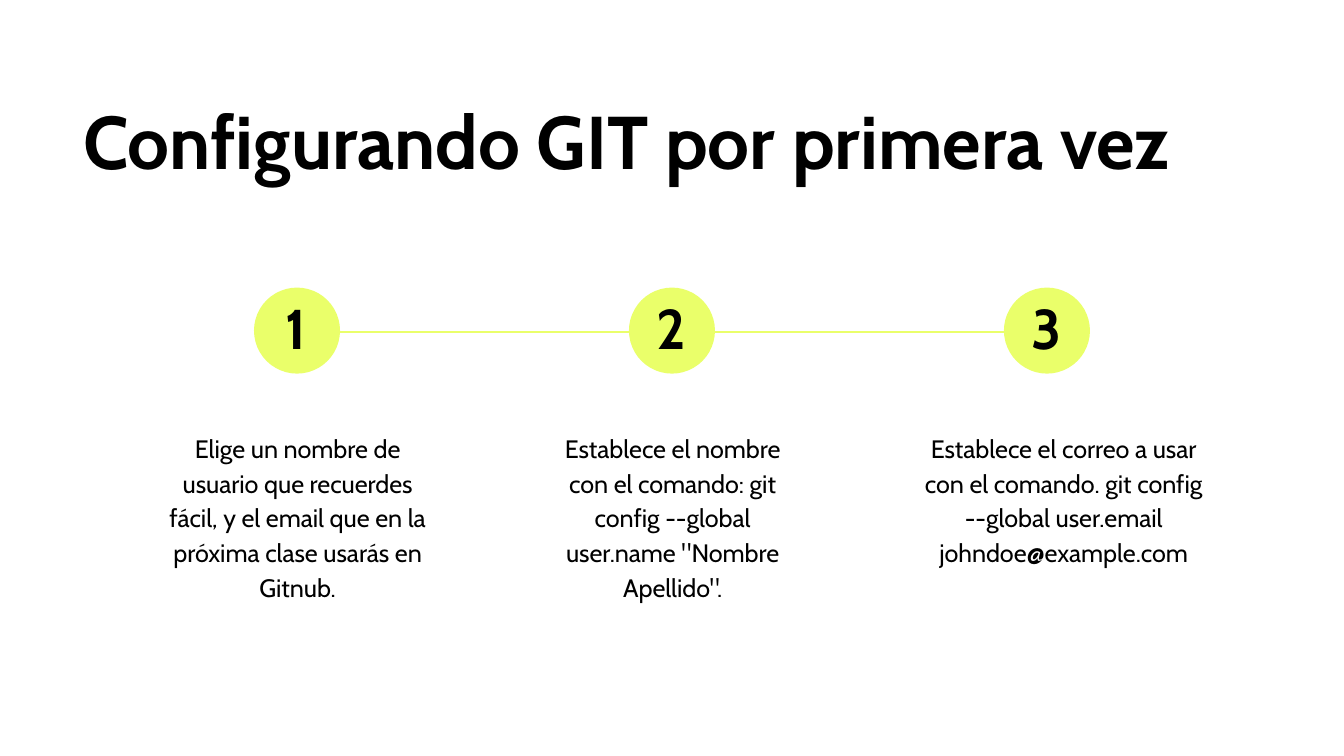
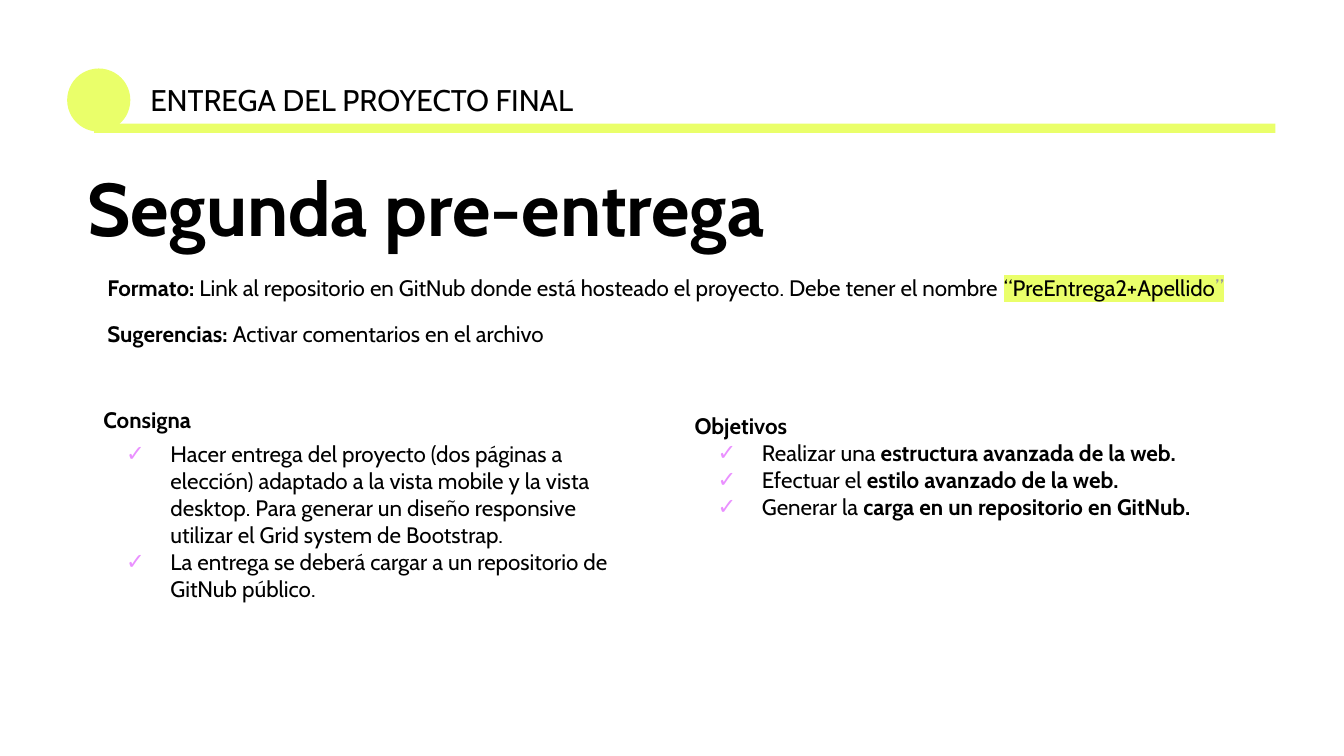
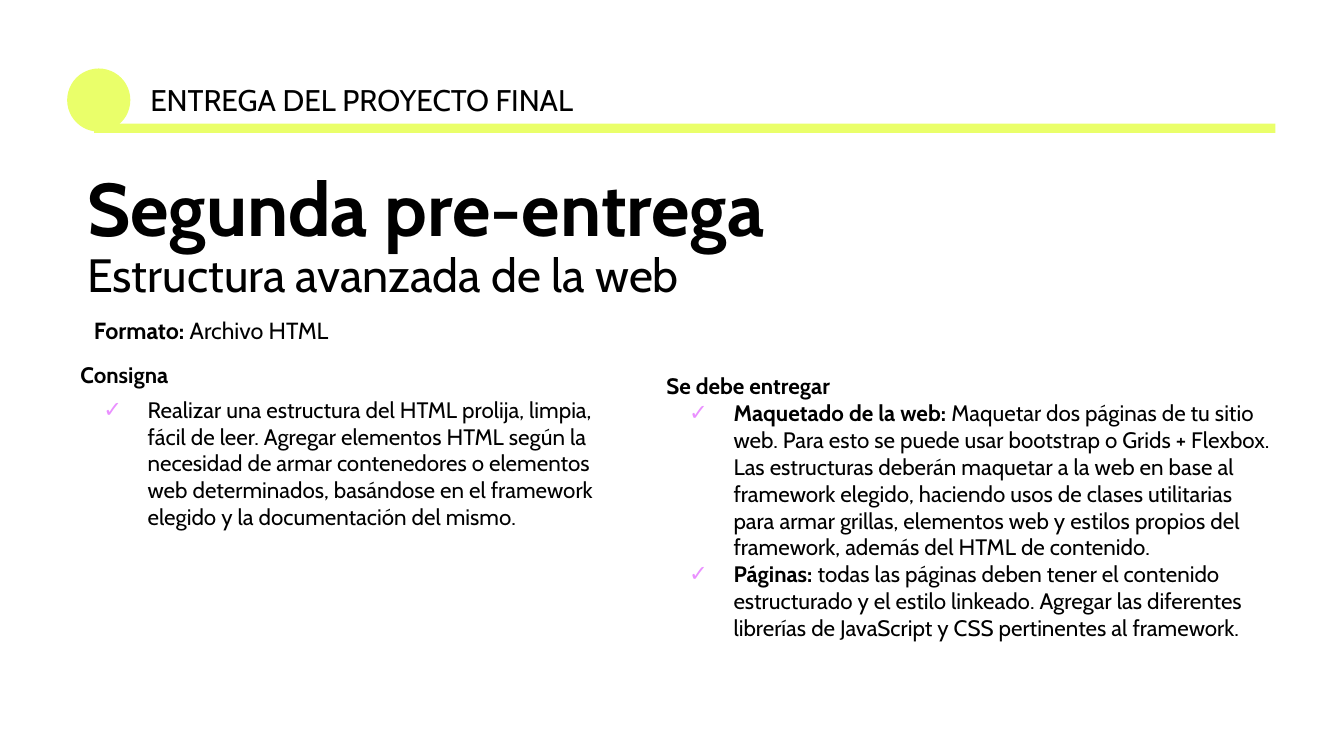
from lxml import etree
from pptx import Presentation
from pptx.dml.color import RGBColor
from pptx.enum.shapes import MSO_CONNECTOR as Conn, MSO_SHAPE as Shape
from pptx.enum.text import MSO_AUTO_SIZE as Auto, PP_ALIGN as Align
from pptx.oxml.ns import qn
from pptx.util import Inches, Pt

# Shared look
W = 10
H = W * 9 / 16
FONT = "Cabin"
BLACK, WHITE, LIME, PINK, GREY = "000000", "FFFFFF", "EAFF6A", "EA90FF", "999999"
BOLD = {"bold": True}
HIGH = {"mark": LIME}
HIGH_GREY = {"mark": LIME, "color": GREY}
TITLE = {"size": 40, "bold": True}
SUBTITLE = {"size": 25}
INSET = 0.1

# Content: a paragraph is a list of (text, style) runs
STEPS_TITLE = "Configurando GIT por primera vez"
STEPS = [  # text, box width
    ("Elige un nombre de usuario que recuerdes fácil, y el email que en la "
     "próxima clase usarás en Gitnub.", 2.13),
    ('Establece el nombre con el comando: git config --global user.name '
     '"Nombre Apellido".', 2.13),
    ("Establece el correo a usar con el comando. git config --global "
     "user.email johndoe@example.com", 2.37),
]

BAND = "ENTREGA DEL PROYECTO FINAL"
DELIVERIES = [
    {
        "title": [[("Segunda pre-entrega", TITLE)]],
        "format": {
            "at": (0.7, 1.94, 8.51, 0.95), "size": 12,
            "paras": [
                [("Formato: ", BOLD),
                 ("Link al repositorio en GitNub donde está hosteado el "
                  "proyecto. Debe tener el nombre ", {}),
                 ("“PreEntrega2+Apellido", HIGH), ("”", HIGH_GREY)],
                [("Sugerencias: ", BOLD),
                 ("Activar comentarios en el archivo", {})],
            ],
        },
        "lists": [
            {"at": (0.67, 2.92, 4.19, 1.88), "head": "Consigna", "gap": 4,
             "items": [
                 [("Hacer entrega del proyecto (dos páginas a elección) "
                   "adaptado a la vista mobile y la vista desktop. Para "
                   "generar un diseño responsive utilizar el Grid system de "
                   "Bootstrap.", {})],
                 [("La entrega se deberá cargar a un repositorio de GitNub "
                   "público.", {})],
             ]},
            {"at": (5.07, 2.97, 4.19, 1.44), "head": "Objetivos", "gap": 0,
             "items": [
                 [("Realizar una ", {}),
                  ("estructura avanzada de la web.", BOLD)],
                 [("Efectuar el ", {}), ("estilo avanzado de la web.", BOLD)],
                 [("Generar la ", {}),
                  ("carga en un repositorio en GitNub.", BOLD)],
             ]},
        ],
    },
    {
        "title": [[("Segunda pre-entrega", TITLE)],
                  [("Estructura avanzada de la web", SUBTITLE)]],
        "format": {
            "at": (0.6, 2.25, 3.28, 0.41), "size": 12.5,
            "paras": [[("Formato: ", BOLD), ("Archivo HTML", {})]],
        },
        "lists": [
            {"at": (0.5, 2.59, 4.19, 2.13), "head": "Consigna", "gap": 4,
             "items": [
                 [("Realizar una estructura del HTML prolija, limpia, fácil "
                   "de leer. Agregar elementos HTML según la necesidad de "
                   "armar contenedores o elementos web determinados, "
                   "basándose en el framework elegido y la documentación del "
                   "mismo.", {})],
             ]},
            {"at": (4.86, 2.67, 4.73, 2.63), "head": "Se debe entregar",
             "gap": 0,
             "items": [
                 [("Maquetado de la web:", BOLD),
                  (" Maquetar dos páginas de tu sitio web. Para esto se puede "
                   "usar bootstrap o Grids + Flexbox. Las estructuras deberán "
                   "maquetar a la web en base al framework elegido, haciendo "
                   "usos de clases utilitarias para armar grillas, elementos "
                   "web y estilos propios del framework, además del HTML de "
                   "contenido.", {})],
                 [("Páginas:", BOLD),
                  (" todas las páginas deben tener el contenido estructurado "
                   "y el estilo linkeado. Agregar las diferentes librerías de "
                   "JavaScript y CSS pertinentes al framework.", {})],
             ]},
        ],
    },
]


# Helpers
def rgb(value):
    return RGBColor.from_string(value)


def add_color(parent, tag, value):
    el = etree.SubElement(parent, qn(tag))
    etree.SubElement(el, qn("a:srgbClr"), val=value)
    return el


def add_run(p, text, style, size):
    r = p.add_run()
    r.text = text
    font = {"name": FONT, "size": Pt(style.get("size", size)),
            "bold": style.get("bold", False)}
    for key, value in font.items():
        setattr(r.font, key, value)
    r.font.color.rgb = rgb(style.get("color", BLACK))
    if "mark" in style:
        rPr = r.font._element
        rPr.find(qn("a:solidFill")).addnext(
            add_color(rPr, "a:highlight", style["mark"]))


def add_check(p):
    pPr = p._p.get_or_add_pPr()
    pPr.set("marL", str(Inches(0.5)))
    pPr.set("indent", str(Inches(-0.33)))
    add_color(pPr, "a:buClr", PINK)
    etree.SubElement(pPr, qn("a:buFont"), typeface=FONT)
    etree.SubElement(pPr, qn("a:buChar"), char="✓")


def add_text(s, at, paras, size=12, **para_format):
    tf = s.shapes.add_textbox(*map(Inches, at)).text_frame
    tf.word_wrap = True
    tf.auto_size = Auto.SHAPE_TO_FIT_TEXT
    for side in ("left", "top", "right", "bottom"):
        setattr(tf, f"margin_{side}", Inches(INSET))
    for i, runs in enumerate(paras):
        p = tf.add_paragraph() if i else tf.paragraphs[0]
        for key, value in para_format.items():
            setattr(p, key, value)
        for text, style in runs:
            add_run(p, text, style, size)
    return tf


def add_fill(s, kind, *at):
    sp = s.shapes.add_shape(kind, *map(Inches, at))
    sp.shadow.inherit = False
    sp.fill.solid()
    sp.fill.fore_color.rgb = rgb(LIME)
    sp.line.fill.background()


def add_line(s, x1, x2, y):
    line = s.shapes.add_connector(Conn.STRAIGHT, *map(Inches, (x1, y, x2, y)))
    line.line.color.rgb = rgb(LIME)
    line.line.width = Pt(0.75)
    etree.SubElement(line._element.spPr, qn("a:effectLst"))


def new_slide(prs):
    s = prs.slides.add_slide(prs.slide_layouts[6])
    s.background.fill.solid()
    s.background.fill.fore_color.rgb = rgb(WHITE)
    return s


# Slide with numbered steps
def steps_slide(prs):
    s = new_slide(prs)
    add_text(s, (0.52, 0.68, 8.9, 1.41), [[(STEPS_TITLE, TITLE)]],
             line_spacing=0.9)
    pitch, dot, top = 2.79, 0.64, 2.14
    centres = [W / 2 + (i - 1) * pitch for i in range(len(STEPS))]
    for x, following in zip(centres, centres[1:]):
        add_line(s, x + dot / 2, following - dot / 2, 2.47)
    for n, (x, (text, width)) in enumerate(zip(centres, STEPS), 1):
        add_fill(s, Shape.OVAL, x - dot / 2, top, dot, dot)
        add_text(s, (x - 0.23, top, 0.45, 0.66), [[(str(n), BOLD)]], 30,
                 alignment=Align.CENTER, line_spacing=0.9)
        add_text(s, (x - 1.06, 3.09, width, 1.47), [[(text, {})]], 13.5,
                 alignment=Align.CENTER, line_spacing=1.15)


# Slides about the delivery
def delivery_slide(prs, data):
    s = new_slide(prs)
    add_fill(s, Shape.OVAL, 0.5, 0.51, 0.47, 0.47)
    add_fill(s, Shape.RECTANGLE, 0.7, 0.92, 8.79, 0.07)
    add_text(s, (1.02, 0.51, 3.5, 0.47), [[(BAND, {})]], 16)
    add_text(s, (0.55, 1.18, 7.99, 0.4 * len(data["title"]) + 0.4),
             data["title"], line_spacing=0.9)

    block = data["format"]
    tf = add_text(s, block["at"], block["paras"], block["size"])
    for p in tf.paragraphs[1:]:
        p.space_before = p.space_after = Pt(10)

    for block in data["lists"]:
        tf = add_text(s, block["at"],
                      [[(block["head"], BOLD)]] + block["items"])
        for p in tf.paragraphs[1:]:
            add_check(p)
        tf.paragraphs[1].space_before = Pt(block["gap"])


def main():
    prs = Presentation()
    prs.slide_width, prs.slide_height = Inches(W), Inches(H)
    steps_slide(prs)
    for data in DELIVERIES:
        delivery_slide(prs, data)
    prs.save("out.pptx")


if __name__ == "__main__":
    main()
